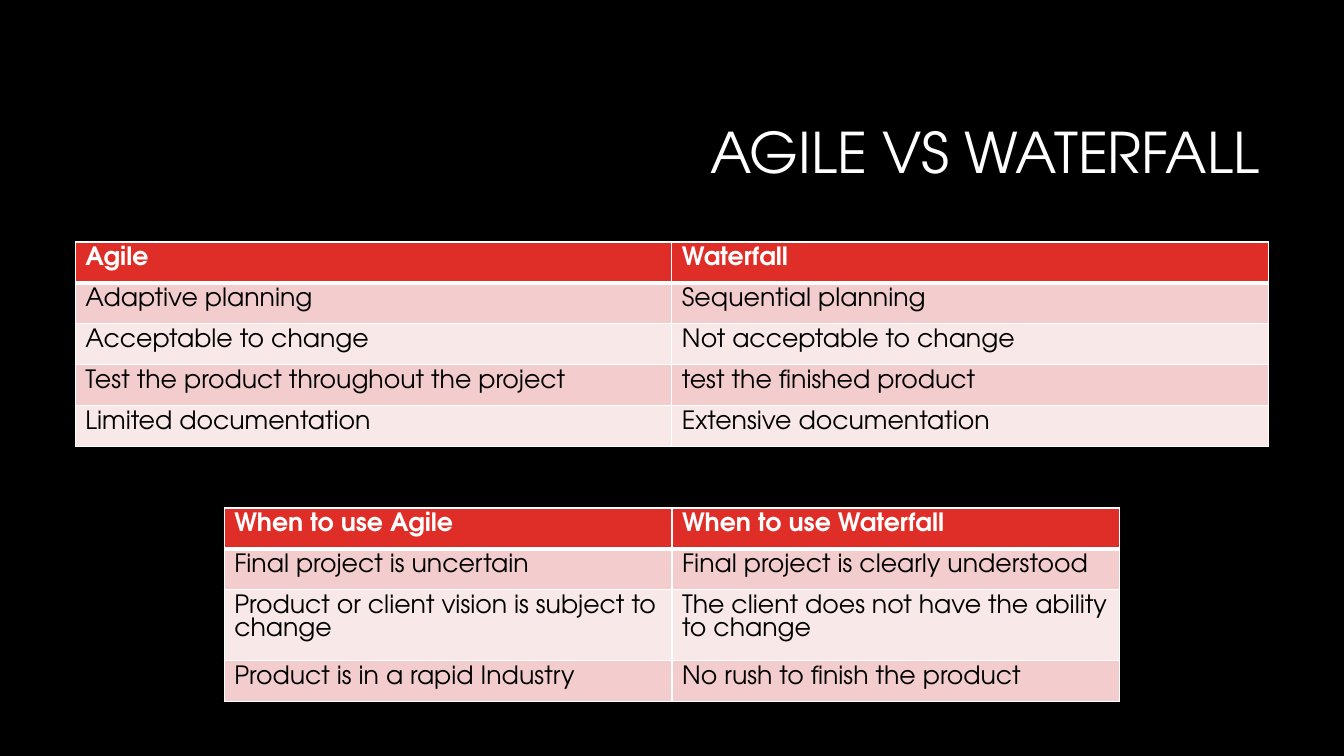
from lxml.etree import SubElement
from pptx import Presentation
from pptx.dml.color import RGBColor
from pptx.enum.text import MSO_ANCHOR, PP_ALIGN
from pptx.oxml.ns import qn
from pptx.util import Cm, Pt

BLACK = RGBColor(0x00, 0x00, 0x00)
WHITE = RGBColor(0xFF, 0xFF, 0xFF)
RED = RGBColor(0xDF, 0x2E, 0x28)
ROSE = RGBColor(0xF3, 0xCD, 0xCD)
BLUSH = RGBColor(0xF9, 0xE8, 0xE8)

TRAITS = [
    ("Agile", "Waterfall"),
    ("Adaptive planning", "Sequential planning"),
    ("Acceptable to change", "Not acceptable to change"),
    ("Test the product throughout the project", "test the finished product"),
    ("Limited documentation", "Extensive documentation"),
]
USES = [
    ("When to use Agile", "When to use Waterfall"),
    ("Final project is uncertain", "Final project is clearly understood"),
    ("Product or client vision is subject to change",
     "The client does not have the ability to change"),
    ("Product is in a rapid Industry", "No rush to finish the product"),
]


class Board:
    face = "TeX Gyre Adventor"
    row_high = Cm(1.03)

    def __init__(self, deck):
        self.slide = deck.slides.add_slide(deck.slide_layouts[6])
        back = self.slide.background.fill
        back.solid()
        back.fore_color.rgb = BLACK

    def style(self, para, size, color, bold=False):
        font = para.font
        font.name = self.face
        font.size = Pt(size)
        font.bold = bold
        font.color.rgb = color

    def title(self, text, left, top, width, height):
        frame = self.slide.shapes.add_textbox(
            Cm(left), Cm(top), Cm(width), Cm(height)).text_frame
        frame.word_wrap = True
        frame.vertical_anchor = MSO_ANCHOR.MIDDLE
        para = frame.paragraphs[0]
        para.text = text
        para.alignment = PP_ALIGN.RIGHT
        para.line_spacing = 0.9
        self.style(para, 40, WHITE)

    def border(self, cell, row):
        props = cell._tc.get_or_add_tcPr()
        widths = {"L": 1, "R": 1, "T": 3 if row == 1 else 1, "B": 3 if row == 0 else 1}
        for side, width in widths.items():
            line = SubElement(props, qn(f"a:ln{side}"), w=str(Pt(width)))
            fill = SubElement(line, qn("a:solidFill"))
            SubElement(fill, qn("a:srgbClr"), val=str(WHITE))

    def table(self, rows, left, top, width):
        count = len(rows[0])
        grid = self.slide.shapes.add_table(
            len(rows), count, Cm(left), Cm(top), Cm(width),
            self.row_high * len(rows)).table
        for row, texts in enumerate(rows):
            grid.rows[row].height = self.row_high
            head = row == 0
            shade = RED if head else ROSE if row % 2 else BLUSH
            for col, text in enumerate(texts):
                cell = grid.cell(row, col)
                cell.text = text
                self.style(cell.text_frame.paragraphs[0], 18,
                           WHITE if head else BLACK, head)
                self.border(cell, row)
                cell.fill.solid()
                cell.fill.fore_color.rgb = shade


def main():
    deck = Presentation()
    deck.slide_width = Cm(33.87)
    deck.slide_height = Cm(19.05)
    board = Board(deck)
    board.title("AGILE VS WATERFALL", 8.05, 2.13, 23.93, 3.58)
    board.table(TRAITS, 1.9, 6.1, 30.06)
    board.table(USES, 5.65, 12.8, 22.57)
    deck.save("out.pptx")


if __name__ == "__main__":
    main()
